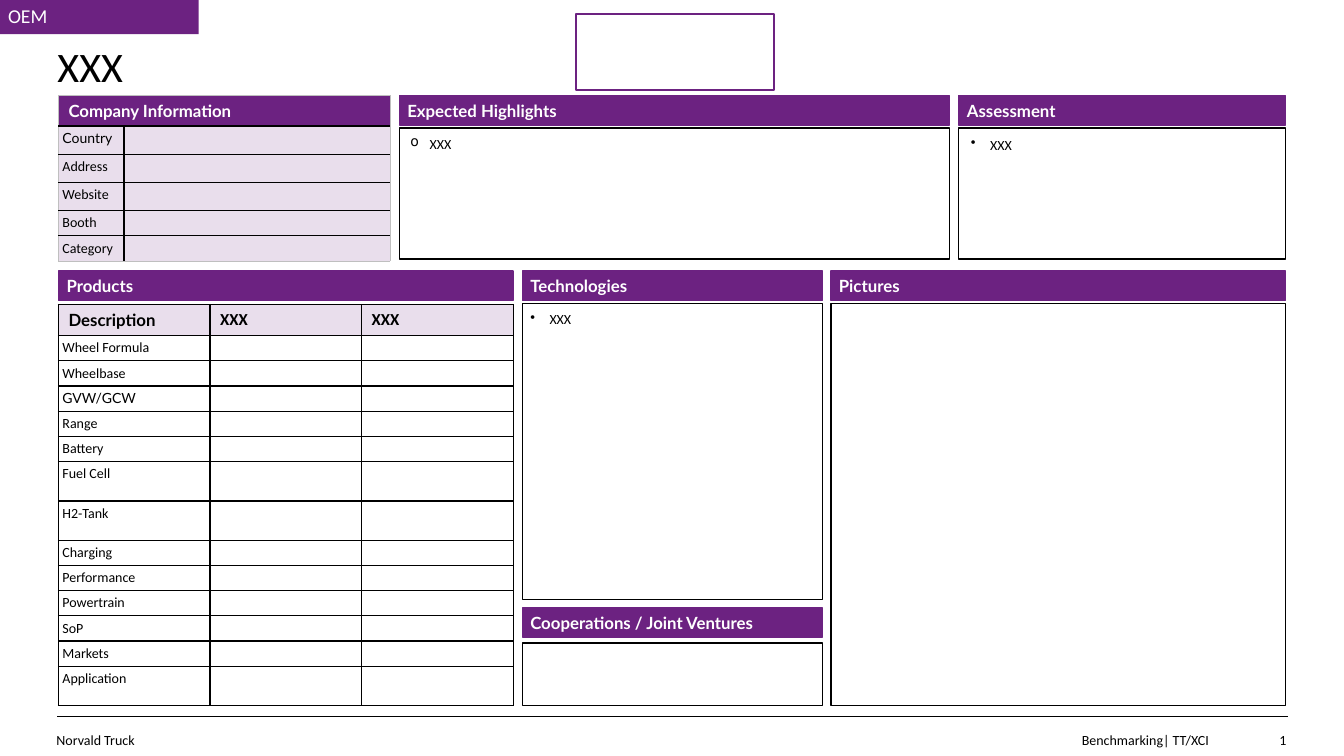
from lxml import etree
from pptx import Presentation
from pptx.dml.color import RGBColor
from pptx.enum.shapes import MSO_CONNECTOR, MSO_SHAPE
from pptx.enum.text import MSO_ANCHOR, MSO_AUTO_SIZE, PP_ALIGN
from pptx.oxml.ns import qn
from pptx.util import Inches, Pt

COLORS = {"purple": "6C2281", "lilac": "E9DEEC", "black": "000000",
          "white": "FFFFFF", "grey": "BFBFBF"}
RGB = {name: RGBColor.from_string(value) for name, value in COLORS.items()}
BODY = {"name": "Calibri", "size": Pt(10), "bold": False}
HEADING = {"name": "Lato", "size": Pt(12), "bold": True}


def write(holder, text, font, color="black", inset=0.08, anchor=MSO_ANCHOR.MIDDLE):
    """Fill a text frame or table cell with one formatted line; return its paragraph."""
    for side in ("left", "right", "top", "bottom"):
        setattr(holder, f"margin_{side}", Inches(inset))
    holder.vertical_anchor = anchor
    holder.word_wrap = True
    tf = getattr(holder, "text_frame", holder)
    p = tf.paragraphs[0]
    p.alignment = PP_ALIGN.LEFT
    if text:
        r = p.add_run()
        r.text = text
        for key, value in font.items():
            setattr(r.font, key, value)
        r.font.color.rgb = RGB[color]
    # The paragraph end sets the height of empty cells and the size of bullets
    end = etree.SubElement(p._p, qn("a:endParaRPr"), sz=str(int(font["size"].pt * 100)))
    etree.SubElement(end, qn("a:latin"), typeface=font["name"])
    return p


def add_box(box, fill=None, line=None, width=1):
    sp = slide.shapes.add_shape(MSO_SHAPE.RECTANGLE, *map(Inches, box))
    sp.shadow.inherit = False
    if fill:
        sp.fill.solid()
        sp.fill.fore_color.rgb = RGB[fill]
    else:
        sp.fill.background()
    if line:
        sp.line.color.rgb = RGB[line]
        sp.line.width = Pt(width)
    else:
        sp.line.fill.background()
    return sp


prs = Presentation()
prs.slide_width, prs.slide_height = Inches(13.33), Inches(7.5)
slide = prs.slides.add_slide(prs.slide_layouts[5])

# Title
title = slide.shapes.title
title.left, title.top, title.width, title.height = map(Inches, (0.57, 0.4, 12.2, 1.1))
write(title.text_frame, "XXX", {"name": "Calibri", "size": Pt(30)},
      inset=0, anchor=MSO_ANCHOR.TOP)

# Footer
rule = slide.shapes.add_connector(MSO_CONNECTOR.STRAIGHT, Inches(0.57), Inches(7.11),
                                  Inches(12.77), Inches(7.11))
rule.line.color.rgb = RGB["black"]
rule.line.width = Pt(0.25)
etree.SubElement(rule._element.spPr, qn("a:effectLst"))

for text, left, width, align in [("Norvald Truck", 0.56, 1.85, PP_ALIGN.LEFT),
                                 ("Benchmarking| TT/XCI", 3.41, 8.58, PP_ALIGN.RIGHT),
                                 ("1", 12.41, 0.35, PP_ALIGN.RIGHT)]:
    sp = slide.shapes.add_textbox(Inches(left), Inches(7.17), Inches(width), Inches(0.33))
    p = write(sp.text_frame, text, BODY, inset=0)
    p.alignment = align
    p.line_spacing = 1.08
    p.space_after = Pt(10.1)

# The last footer item becomes a slide number field
run = p.runs[0]._r
field = etree.Element(qn("a:fld"), id="{5B1F6E0A-3C47-4D2B-9A58-7E60C1D2F394}",
                      type="slidenum")
run.getparent().replace(run, field)
field.extend(list(run))

# Tables: position, columns, heading cells, (label, height) rows, fill, outer border
company = {
    "at": (0.58, 0.95), "cols": [0.65, 2.64],
    "head": ["Company Information"], "head_height": 0.3,
    "head_fill": "purple", "head_color": "white", "fill": "lilac", "edge": ("grey", 0.5),
    "rows": [("Country", 0.28), ("Address", 0.28), ("Website", 0.28),
             ("Booth", 0.25), ("Category", 0.25)]}
products = {
    "at": (0.58, 3.02), "cols": [4.51 / 3] * 3,
    "head": ["Description", "XXX", "XXX"], "head_height": 0.31,
    "head_fill": "lilac", "head_color": "black", "fill": None, "edge": ("black", 1),
    "rows": [("Wheel Formula", 0.25), ("Wheelbase", 0.25), ("GVW/GCW", 0.25),
             ("Range", 0.25), ("Battery", 0.25), ("Fuel Cell", 0.39),
             ("H2-Tank", 0.39), ("Charging", 0.25), ("Performance", 0.25),
             ("Powertrain", 0.25), ("SoP", 0.25), ("Markets", 0.25),
             ("Application", 0.39)]}
LATO_LABELS = {"Country", "GVW/GCW"}

for t in (company, products):
    heights = [t["head_height"]] + [height for _, height in t["rows"]]
    n_rows, n_cols = len(heights), len(t["cols"])
    size = (sum(t["cols"]), sum(heights))
    table = slide.shapes.add_table(n_rows, n_cols, *map(Inches, t["at"] + size)).table
    table.horz_banding = False
    for column, width in zip(table.columns, t["cols"]):
        column.width = Inches(width)
    for row, height in zip(table.rows, heights):
        row.height = Inches(height)
    if len(t["head"]) == 1:
        table.cell(0, 0).merge(table.cell(0, n_cols - 1))

    texts = [t["head"] + [""] * (n_cols - len(t["head"]))]
    texts += [[label] + [""] * (n_cols - 1) for label, _ in t["rows"]]
    for i, row_texts in enumerate(texts):
        fill = t["fill"] if i else t["head_fill"]
        for j, text in enumerate(row_texts):
            cell = table.cell(i, j)
            if i == 0 and text:
                font = {**HEADING, "name": "Calibri" if text == "XXX" else "Lato"}
                write(cell, text, font, t["head_color"], 0.1, MSO_ANCHOR.TOP)
                cell.margin_top = cell.margin_bottom = Inches(0.05)
            else:
                font = {**BODY, "name": "Lato" if text in LATO_LABELS else "Calibri"}
                write(cell, text, font, inset=0.04, anchor=MSO_ANCHOR.TOP)
            if fill:
                cell.fill.solid()
                cell.fill.fore_color.rgb = RGB[fill]
            else:
                cell.fill.background()

            tcPr = cell._tc.get_or_add_tcPr()
            outer = [j == 0, j + cell.span_width >= n_cols, i == 0, i == n_rows - 1]
            for k, (side, is_outer) in enumerate(zip("LRTB", outer)):
                color, width = t["edge"] if is_outer else ("black", 1)
                ln = etree.Element(qn(f"a:ln{side}"), w=str(Pt(width)))
                solid = etree.SubElement(ln, qn("a:solidFill"))
                etree.SubElement(solid, qn("a:srgbClr"), val=COLORS[color])
                tcPr.insert(k, ln)

# Panels: heading, left, top, width, body (top, height)
panels = [("Expected Highlights", 3.96, 0.95, 5.46, (1.27, 1.3)),
          ("Assessment", 9.51, 0.95, 3.24, (1.27, 1.3)),
          ("Products", 0.58, 2.69, 4.51, None),
          ("Technologies", 5.18, 2.69, 2.98, (3.01, 2.94)),
          ("Pictures", 8.24, 2.69, 4.51, (3.01, 3.99)),
          ("Cooperations / Joint Ventures", 5.18, 6.03, 2.98, (6.38, 0.62))]
for heading, left, top, width, body in panels:
    bar = add_box((left, top, width, 0.29), "purple", "purple")
    write(bar.text_frame, heading, HEADING, "white")
    if body:
        add_box((left, body[0], width, body[1]), line="black")

# Bulleted notes in the panels
for bullet, box in [("o", (3.99, 1.26, 5.42, 0.33)),
                    ("•", (5.18, 3, 2.98, 0.5)),
                    ("•", (9.55, 1.27, 3.2, 0.33))]:
    sp = slide.shapes.add_textbox(*map(Inches, box))
    p = write(sp.text_frame, "XXX", BODY, anchor=MSO_ANCHOR.TOP)
    sp.text_frame.auto_size = MSO_AUTO_SIZE.SHAPE_TO_FIT_TEXT
    pPr = p._p.get_or_add_pPr()
    pPr.set("marL", str(Inches(0.19)))
    pPr.set("indent", str(-Inches(0.19)))
    etree.SubElement(pPr, qn("a:buChar"), char=bullet)

# Logo frame and category tag
add_box((5.71, 0.14, 1.97, 0.75), line="purple", width=1.5)
tag = add_box((0, -0.02, 1.97, 0.36), "purple")
write(tag.text_frame, "OEM", {"name": "Calibri", "size": Pt(14)}, "white")

prs.save("out.pptx")
